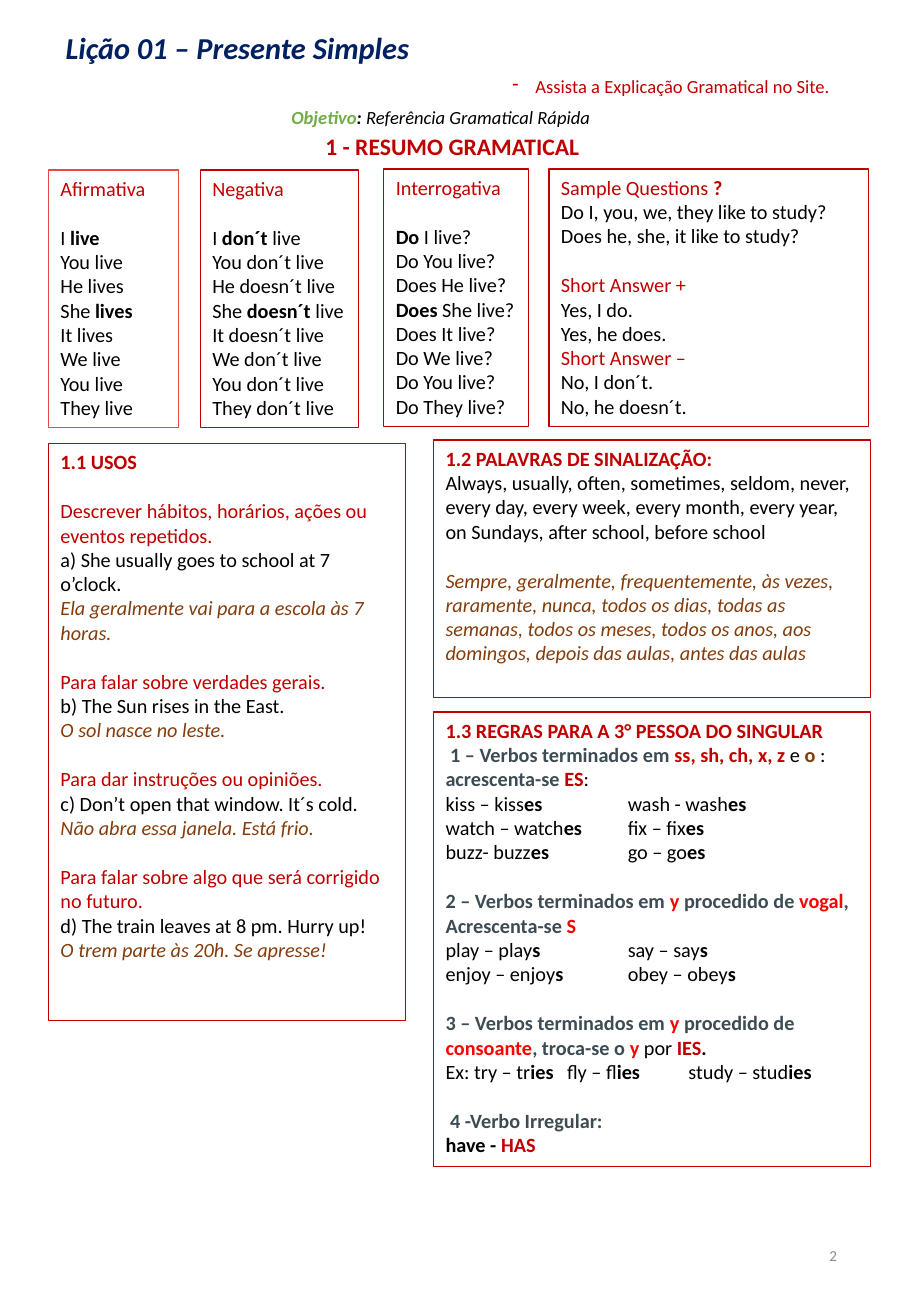
"""Build a one-page grammar summary of the English simple present for Portuguese speakers."""
from lxml import etree
from pptx import Presentation
from pptx.dml.color import RGBColor
from pptx.enum.shapes import MSO_SHAPE
from pptx.enum.text import MSO_ANCHOR, PP_ALIGN
from pptx.oxml.ns import qn
from pptx.util import Pt

RECTANGLE = MSO_SHAPE.RECTANGLE
TOP, MIDDLE = MSO_ANCHOR.TOP, MSO_ANCHOR.MIDDLE
LEFT, CENTER, RIGHT = PP_ALIGN.LEFT, PP_ALIGN.CENTER, PP_ALIGN.RIGHT
PX = 9144
BLANK_LINE = Pt(14.65)

COLORS = {
    "navy": "002060", "red": "C00000", "coral": "E64A45", "bright": "FF0000",
    "green": "70AD47", "brown": "843C0B", "slate": "3D4C53", "gray": "8C8C8C",
    "black": "000000", "white": "FFFFFF",
}
STYLES = {
    "title": ("navy", {"size": Pt(18), "bold": True, "italic": True}),
    "heading": ("red", {"size": Pt(14), "bold": True}),
    "note": ("red", {"size": Pt(11)}),
    "goal": ("green", {"size": Pt(11), "bold": True, "italic": True}),
    "goal colon": ("black", {"size": Pt(11), "bold": True, "italic": True}),
    "goal text": ("black", {"size": Pt(11), "italic": True}),
    "number": ("gray", {"size": Pt(9)}),
    "plain": ("black", {}),
    "strong": ("black", {"bold": True}),
    "red": ("red", {}),
    "key": ("red", {"bold": True}),
    "rule": ("slate", {"bold": True}),
    "letter": ("bright", {"bold": True}),
    "vowel": ("brown", {"bold": True}),
    "translation": ("brown", {"italic": True}),
}
TAB_STOPS = {1: [150], 2: [100, 200]}


def write_blocks(box, blocks, align=LEFT):
    """Write blocks of paragraphs, one blank line apart; a paragraph alternates style and text."""
    frame = box.text_frame
    for block_index, block in enumerate(blocks):
        for row_index, row in enumerate(block):
            first = block_index == row_index == 0
            para = frame.paragraphs[0] if first else frame.add_paragraph()
            para.alignment = align
            if block_index and not row_index:
                para.space_before = BLANK_LINE
            stops = TAB_STOPS.get("".join(row[1::2]).count("\t"), [])
            if stops:
                tab_list = etree.SubElement(para._p.get_or_add_pPr(), qn("a:tabLst"))
                for stop in stops:
                    etree.SubElement(tab_list, qn("a:tab"), pos=str(stop * PX), algn="l")
            for style, text in zip(row[::2], row[1::2]):
                span = para.add_run()
                span.text = text
                color, formats = STYLES[style]
                values = {"name": "Calibri", "size": Pt(12), "bold": False, "italic": False}
                for name, value in (values | formats).items():
                    setattr(span.font, name, value)
                span.font.color.rgb = RGBColor.from_string(COLORS[color])


def add_box(page, bounds, outline=None, fill=None, wrap=True, anchor=TOP):
    """Add a text box, or a rectangle when an outline colour is given."""
    place = [length * PX for length in bounds]
    if outline:
        box = page.shapes.add_shape(RECTANGLE, *place)
        box.shadow.inherit = False
        box.line.color.rgb = RGBColor.from_string(COLORS[outline])
        box.line.width = Pt(0.75)
    else:
        box = page.shapes.add_textbox(*place)
    if fill:
        box.fill.solid()
        box.fill.fore_color.rgb = RGBColor.from_string(COLORS[fill])
    else:
        box.fill.background()
    box.text_frame.word_wrap = wrap
    box.text_frame.vertical_anchor = anchor
    return box


deck = Presentation()
deck.slide_width, deck.slide_height = 750 * PX, 1083 * PX
page = deck.slides.add_slide(deck.slide_layouts[6])

title = add_box(page, (42, 17, 307, 43), wrap=False)
write_blocks(title, [[("title", "Lição 01 – Presente Simples")]], CENTER)
title.text_frame.paragraphs[0].line_spacing = 1.07

note = add_box(page, (412, 57, 287, 29))
note_format = note.text_frame.paragraphs[0]._p.get_or_add_pPr()
note_format.set("marL", str(19 * PX))
note_format.set("indent", str(-19 * PX))
etree.SubElement(note_format, qn("a:buChar"), char="-")
write_blocks(note, [[("note", "Assista a Explicação Gramatical no Site.")]])

goal = add_box(page, (230, 82, 266, 29), outline="white", wrap=False)
write_blocks(goal, [[("goal", "Objetivo", "goal colon", ": ",
                      "goal text", "Referência Gramatical Rápida")]])

heading = add_box(page, (258, 104, 231, 34), wrap=False)
write_blocks(heading, [[("heading", "1 - RESUMO GRAMATICAL")]])

affirmative = [
    [("red", "Afirmativa")],
    [("plain", "I ", "strong", "live"), ("plain", "You live"), ("plain", "He lives"),
     ("plain", "She ", "strong", "lives"), ("plain", "It lives"), ("plain", "We live"),
     ("plain", "You live"), ("plain", "They live")],
]
negative = [
    [("red", "Negativa")],
    [("plain", "I ", "strong", "don´t ", "plain", "live"), ("plain", "You don´t live"),
     ("plain", "He doesn´t live"), ("plain", "She ", "strong", "doesn´t ", "plain", "live"),
     ("plain", "It doesn´t live"), ("plain", "We don´t live"),
     ("plain", "You don´t live"), ("plain", "They don´t live")],
]
interrogative = [
    [("red", "Interrogativa")],
    [("strong", "Do", "plain", " I live?"), ("plain", "Do You live?"),
     ("plain", "Does He live?"), ("strong", "Does", "plain", " She live?"),
     ("plain", "Does It live?"), ("plain", "Do We live?"),
     ("plain", "Do You live?"), ("plain", "Do They live?")],
]
questions = [
    [("red", "Sample Questions", "key", " ?"),
     ("plain", "Do I, you, we, they like to study?"),
     ("plain", "Does he, she, it like to study?")],
    [("red", "Short Answer +"), ("plain", "Yes, I do."), ("plain", "Yes, he does."),
     ("red", "Short Answer –"), ("plain", "No, I don´t."), ("plain", "No, he doesn´t.")],
]
uses = [[("key", "1.1 USOS")]]
for purpose, example, translation in (
    ("Descrever hábitos, horários, ações ou eventos repetidos.",
     "a) She usually goes to school at 7 o’clock.",
     "Ela geralmente vai para a escola às 7 horas."),
    ("Para falar sobre verdades gerais.",
     "b) The Sun rises in the East.", "O sol nasce no leste."),
    ("Para dar instruções ou opiniões.",
     "c) Don’t open that window. It´s cold.", "Não abra essa janela. Está frio."),
    ("Para falar sobre algo que será corrigido no futuro.",
     "d) The train leaves at 8 pm. Hurry up!", "O trem parte às 20h. Se apresse!"),
):
    uses.append([("red", purpose), ("plain", example), ("translation", translation)])
signal_words = [
    [("key", "1.2 PALAVRAS DE SINALIZAÇÃO:"),
     ("plain", "Always, usually, often, sometimes, seldom, never, every day, every week, "
               "every month, every year, on Sundays, after school, before school")],
    [("translation", "Sempre, geralmente, frequentemente, às vezes, raramente, nunca, "
                     "todos os dias, todas as semanas, todos os meses, todos os anos, "
                     "aos domingos, depois das aulas, antes das aulas")],
]
third_person = [
    [("key", "1.3 REGRAS PARA A 3° PESSOA DO SINGULAR"),
     ("rule", " 1 – Verbos terminados em ", "key", "ss, sh, ch, x, z ", "plain", "e ",
      "vowel", "o", "plain", " : ", "rule", "acrescenta-se ", "key", "ES", "plain", ":"),
     ("plain", "kiss – kiss", "strong", "es", "plain", "\twash - wash", "strong", "es"),
     ("plain", "watch – watch", "strong", "es", "plain", "\tfix – fix", "strong", "es"),
     ("plain", "buzz- buzz", "strong", "es", "plain", "\tgo – go", "strong", "es")],
    [("rule", "2 – Verbos terminados em ", "letter", "y ", "rule", "procedido de ",
      "letter", "vogal", "rule", ","),
     ("rule", "Acrescenta-se", "letter", " S"),
     ("plain", "play – play", "strong", "s", "plain", "\tsay – say", "strong", "s"),
     ("plain", "enjoy – enjoy", "strong", "s", "plain", "\tobey – obey", "strong", "s")],
    [("rule", "3 – Verbos terminados em ", "letter", "y", "rule", " procedido de ",
      "letter", "consoante", "rule", ", troca-se o ", "letter", "y ", "plain", "por ",
      "key", "IES", "strong", "."),
     ("plain", "Ex: try – tr", "strong", "ies", "plain", "\tfly – fl", "strong", "ies",
      "plain", "\tstudy – stud", "strong", "ies")],
    [("rule", " 4 -Verbo Irregular:"), ("strong", "have - ", "key", "HAS")],
]
for bounds, outline, fill, wrap, blocks in (
    ((40, 365, 294, 475), "red", "white", True, uses),
    ((357, 362, 360, 212), "red", None, True, signal_words),
    ((357, 586, 360, 374), "red", None, True, third_person),
    ((40, 140, 107, 212), "coral", None, True, affirmative),
    ((165, 140, 130, 212), "red", None, False, negative),
    ((316, 139, 119, 212), "red", None, False, interrogative),
    ((452, 139, 263, 212), "red", None, True, questions),
):
    write_blocks(add_box(page, bounds, outline, fill, wrap), blocks)

page_number = add_box(page, (530, 1004, 169, 58), anchor=MIDDLE)
write_blocks(page_number, [[("number", "2")]], RIGHT)

deck.save("out.pptx")
